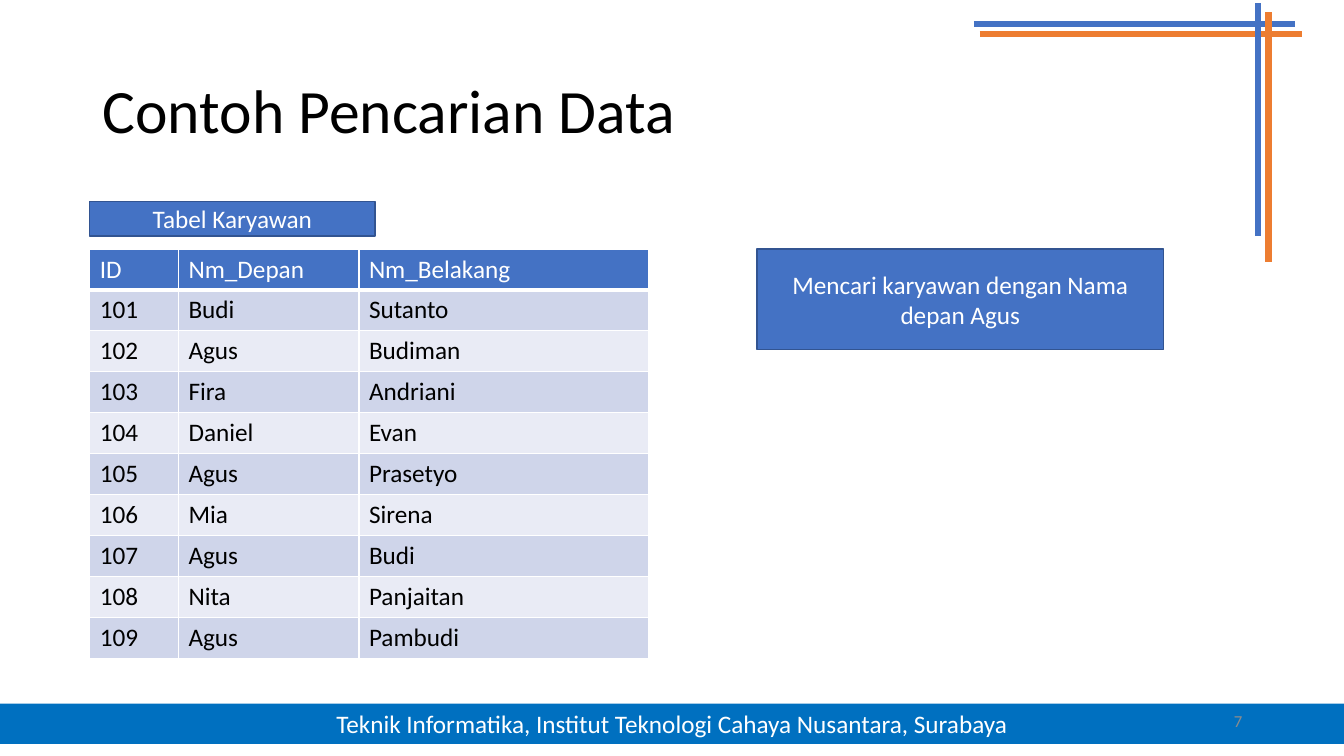
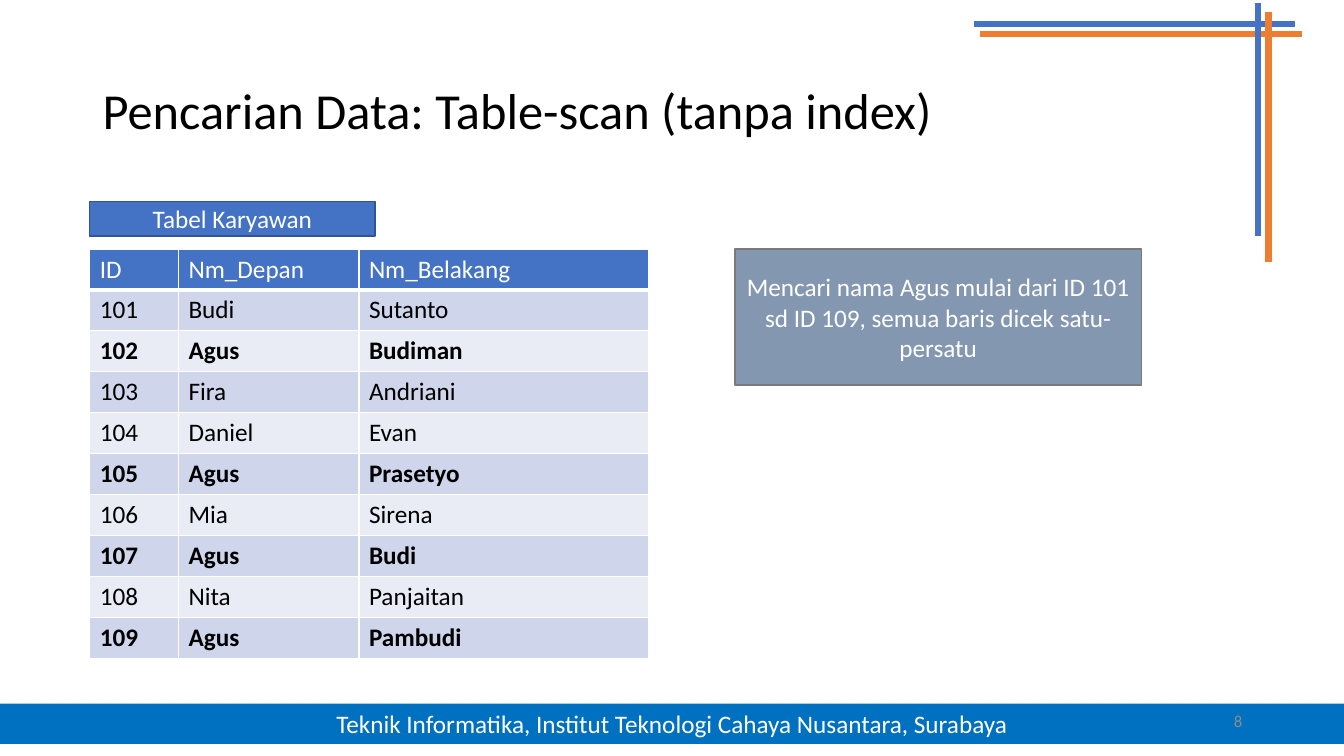
from lxml.etree import SubElement
from pptx import Presentation
from pptx.dml.color import RGBColor
from pptx.enum.shapes import MSO_CONNECTOR, MSO_SHAPE
from pptx.enum.text import MSO_ANCHOR as Anchor, PP_ALIGN as Align
from pptx.oxml.ns import qn
from pptx.util import Inches, Pt

FONT = "Calibri"
COLORS = {
    "white": "FFFFFF",
    "black": "000000",
    "blue": "4472C4",
    "blue_edge": "325491",
    "orange": "ED7D31",
    "footer": "0070C0",
    "slate": "8497B0",
    "slate_edge": "7A7A7A",
    "number": "8C8C8C",
    "odd_row": "CFD5EA",
    "even_row": "E9EBF5",
}
CORNER_LINES = [
    ("blue", 9.66, 0.24, 12.84, 0.24),
    ("orange", 9.72, 0.34, 12.91, 0.34),
    ("blue", 12.48, 0.03, 12.48, 2.34),
    ("orange", 12.58, 0.12, 12.58, 2.6),
]
FOOTER = "Teknik Informatika, Institut Teknologi Cahaya Nusantara, Surabaya"
HEADERS = ("ID", "Nm_Depan", "Nm_Belakang")
EMPLOYEES = [
    ("101", "Budi", "Sutanto"),
    ("102", "Agus", "Budiman"),
    ("103", "Fira", "Andriani"),
    ("104", "Daniel", "Evan"),
    ("105", "Agus", "Prasetyo"),
    ("106", "Mia", "Sirena"),
    ("107", "Agus", "Budi"),
    ("108", "Nita", "Panjaitan"),
    ("109", "Agus", "Pambudi"),
]
COLUMN_WIDTHS = (0.88, 1.79, 2.87)
TABLE_LEFT, TABLE_TOP, TABLE_HEIGHT = 0.89, 2.47, 4.06


def rgb(name):
    return RGBColor.from_string(COLORS[name])


def write_text(frame, text, size=18, color="white", bold=False,
               align=Align.LEFT, spacing=None):
    frame.word_wrap = True
    para = frame.paragraphs[0]
    para.alignment = align
    if spacing:
        para.line_spacing = spacing
    span = para.add_run()
    span.text = text
    span.font.name = FONT
    span.font.size = Pt(size)
    span.font.bold = bold
    span.font.color.rgb = rgb(color)


def add_text(page, text, left, top, width, height, **style):
    box = page.shapes.add_textbox(*map(Inches, (left, top, width, height)))
    box.text_frame.vertical_anchor = Anchor.MIDDLE
    write_text(box.text_frame, text, **style)


def add_box(page, text, left, top, width, height, fill="blue", edge="blue_edge"):
    box = page.shapes.add_shape(
        MSO_SHAPE.RECTANGLE, *map(Inches, (left, top, width, height)))
    box.shadow.inherit = False
    box.fill.solid()
    box.fill.fore_color.rgb = rgb(fill)
    if edge:
        box.line.color.rgb = rgb(edge)
        box.line.width = Pt(1)
    else:
        box.line.fill.background()
    box.text_frame.vertical_anchor = Anchor.MIDDLE
    write_text(box.text_frame, text, align=Align.CENTER)


def add_line(page, color, *ends):
    line = page.shapes.add_connector(MSO_CONNECTOR.STRAIGHT, *map(Inches, ends))
    line.line.color.rgb = rgb(color)
    line.line.width = Pt(4.5)
    SubElement(line._element.spPr, qn("a:effectLst"))


def set_borders(cell, bottom=1):
    properties = cell._tc.get_or_add_tcPr()
    for side, width in (("L", 1), ("R", 1), ("T", 1), ("B", bottom)):
        border = SubElement(properties, qn(f"a:ln{side}"), w=str(Pt(width)))
        fill = SubElement(border, qn("a:solidFill"))
        SubElement(fill, qn("a:srgbClr"), val=COLORS["white"])


def add_employee_table(page, bold_name=None):
    rows = [HEADERS, *EMPLOYEES]
    table = page.shapes.add_table(
        len(rows), len(HEADERS), Inches(TABLE_LEFT), Inches(TABLE_TOP),
        Inches(sum(COLUMN_WIDTHS)), Inches(TABLE_HEIGHT)).table
    for column, width in zip(table.columns, COLUMN_WIDTHS):
        column.width = Inches(width)
    for row_index, values in enumerate(rows):
        header = row_index == 0
        fill = "blue" if header else "odd_row" if row_index % 2 else "even_row"
        for column_index, value in enumerate(values):
            cell = table.cell(row_index, column_index)
            set_borders(cell, bottom=3 if header else 1)
            cell.fill.solid()
            cell.fill.fore_color.rgb = rgb(fill)
            write_text(cell.text_frame, value,
                       color="white" if header else "black",
                       bold=values[1] == bold_name)


def add_page(deck, title, number, title_size=44, bold_name=None):
    page = deck.slides.add_slide(deck.slide_layouts[6])
    add_box(page, FOOTER, 0, 6.98, 13.33, 0.4, fill="footer", edge=None)
    for line in CORNER_LINES:
        add_line(page, *line)
    add_text(page, title, 0.92, 0.4, 11.5, 1.45,
             size=title_size, color="black", spacing=0.9)
    add_employee_table(page, bold_name)
    add_text(page, str(number), 9.42, 6.95, 3, 0.4,
             size=12, color="number", align=Align.RIGHT)
    add_box(page, "Tabel Karyawan", TABLE_LEFT, 2, 2.83, 0.34)
    return page


def main():
    deck = Presentation()
    deck.slide_width = Inches(13.33)
    deck.slide_height = Inches(7.5)

    example = add_page(deck, "Contoh Pencarian Data", 7)
    add_box(example, "Mencari karyawan dengan Nama depan Agus",
            7.51, TABLE_TOP, 4.03, 1)

    scan = add_page(deck, "Pencarian Data: Table-scan (tanpa index)", 8,
                    title_size=36, bold_name="Agus")
    add_box(scan, "Mencari nama Agus mulai dari ID 101 sd ID 109, "
            "semua baris dicek satu-persatu",
            7.29, TABLE_TOP, 4.03, 1.35, fill="slate", edge="slate_edge")

    deck.save("out.pptx")


if __name__ == "__main__":
    main()
